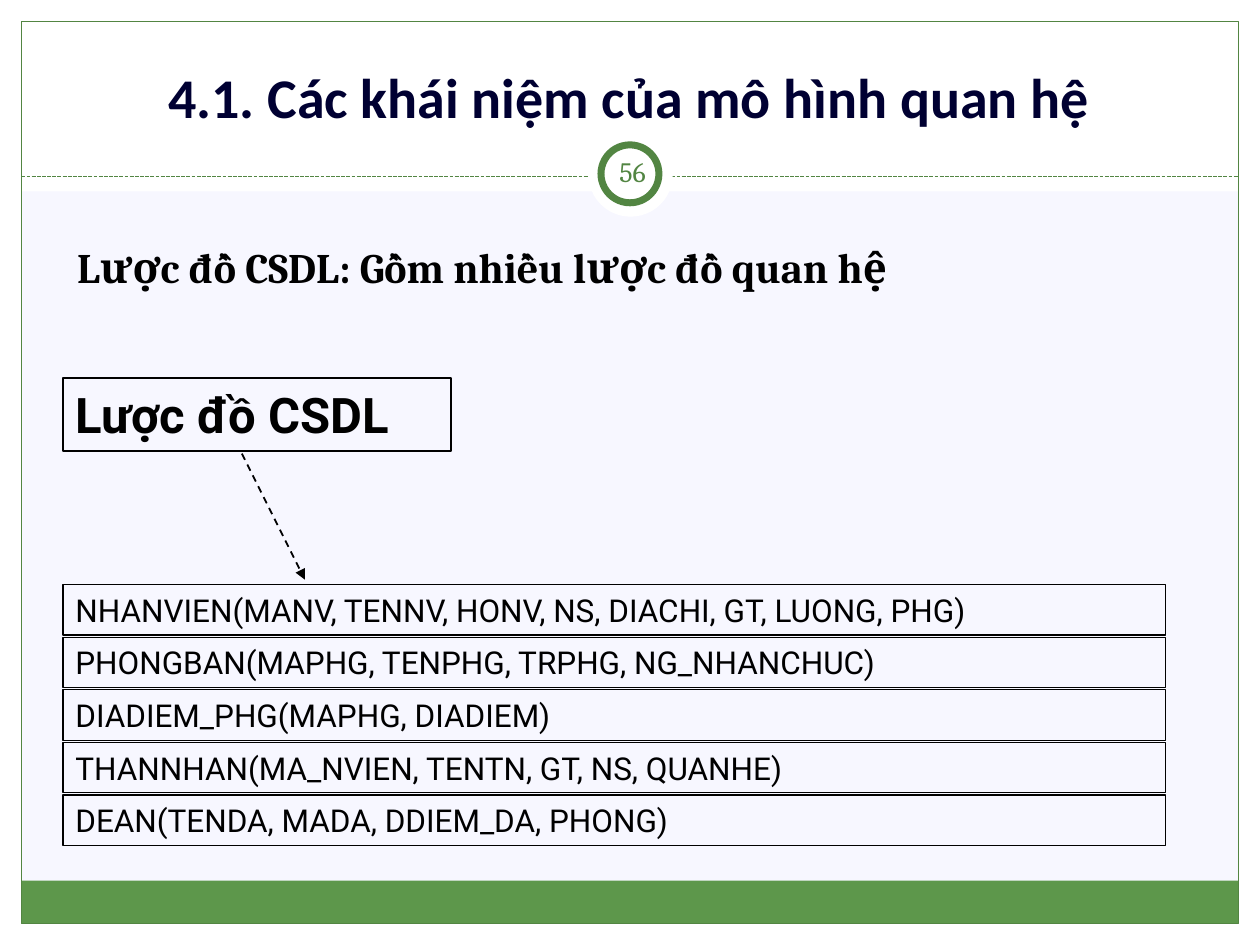
from lxml import etree
from pptx import Presentation
from pptx.dml.color import RGBColor
from pptx.enum.dml import MSO_LINE
from pptx.enum.shapes import MSO_CONNECTOR, MSO_SHAPE
from pptx.enum.text import MSO_ANCHOR, PP_ALIGN
from pptx.oxml.ns import qn
from pptx.util import Inches, Pt

RECT, OVAL = MSO_SHAPE.RECTANGLE, MSO_SHAPE.OVAL
ROUNDED = MSO_SHAPE.FLOWCHART_ALTERNATE_PROCESS
STRAIGHT = MSO_CONNECTOR.STRAIGHT
DOTTED, DASHED = MSO_LINE.SQUARE_DOT, MSO_LINE.DASH
TOP, MIDDLE, BOTTOM = MSO_ANCHOR.TOP, MSO_ANCHOR.MIDDLE, MSO_ANCHOR.BOTTOM
LEFT, CENTER = PP_ALIGN.LEFT, PP_ALIGN.CENTER

WHITE, GREEN, BAND, NAVY, BLACK, PALE = (
    "FFFFFF", "528542", "5D974B", "000032", "000000", "F7F7FF")

TITLE = "4.1. Các khái niệm của mô hình quan hệ"
PAGE_NUMBER = "56"
DEFINITION = "Lược đồ CSDL: Gồm nhiều lược đồ quan hệ"
SCHEMA_LABEL = "Lược đồ CSDL"
RELATIONS = [
    "NHANVIEN(MANV, TENNV, HONV, NS, DIACHI, GT, LUONG, PHG)",
    "PHONGBAN(MAPHG, TENPHG, TRPHG, NG_NHANCHUC)",
    "DIADIEM_PHG(MAPHG, DIADIEM)",
    "THANNHAN(MA_NVIEN, TENTN, GT, NS, QUANHE)",
    "DEAN(TENDA, MADA, DDIEM_DA, PHONG)",
]

TITLE_FONT = {"name": "Calibri", "size": Pt(32), "bold": True}
NUMBER_FONT = {"name": "Cambria", "size": Pt(16)}
DEFINITION_FONT = {"name": "Cambria", "size": Pt(24), "bold": True}
LABEL_FONT = {"name": "Roboto", "size": Pt(28), "bold": True}
RELATION_FONT = {"name": "Roboto", "size": Pt(18)}

WIDTH, HEIGHT, MARGIN = 10, 7.5, 0.17
INNER_WIDTH = WIDTH - 2 * MARGIN
RELATION_LEFT, RELATION_TOP, RELATION_PITCH = 0.5, 4.64, 0.4175
RELATION_SIZE = (8.75, 0.4)

BACKDROP = [
    (RECT, (0, HEIGHT - MARGIN, WIDTH, MARGIN), WHITE, None, 0),
    (RECT, (0, 0, WIDTH, 1.52), WHITE, None, 0),
    (RECT, (0, 0, MARGIN, HEIGHT), WHITE, None, 0),
    (RECT, (WIDTH - MARGIN, 0, MARGIN, HEIGHT), WHITE, None, 0),
    (RECT, (MARGIN, 6.99, INNER_WIDTH, 0.34), BAND, None, 0),
    (RECT, (MARGIN, MARGIN, INNER_WIDTH, HEIGHT - 2 * MARGIN), None, GREEN, 0.75),
]
BADGE = [
    (OVAL, (4.67, 1.05, 0.67, 0.67), WHITE, None, 0),
    (OVAL, (4.77, 1.15, 0.46, 0.46), WHITE, GREEN, 4),
]

prs = Presentation()
prs.slide_width, prs.slide_height = Inches(WIDTH), Inches(HEIGHT)
slide = prs.slides.add_slide(prs.slide_layouts[6])


def color(hex_value):
    return RGBColor.from_string(hex_value)


def add_panel(kind, box, fill, outline, weight):
    panel = slide.shapes.add_shape(kind, *map(Inches, box))
    panel.shadow.inherit = False
    if fill:
        panel.fill.solid()
        panel.fill.fore_color.rgb = color(fill)
    else:
        panel.fill.background()
    if outline:
        panel.line.color.rgb = color(outline)
        panel.line.width = Pt(weight)
    else:
        panel.line.fill.background()
    return panel


def write(holder, text, font, ink, align=LEFT, anchor=TOP, inset=None):
    frame = holder.text_frame
    frame.word_wrap = True
    frame.vertical_anchor = anchor
    if inset is not None:
        for side in ("left", "top", "right", "bottom"):
            setattr(frame, f"margin_{side}", Inches(inset))
    paragraph = frame.paragraphs[0]
    paragraph.alignment = align
    run = paragraph.add_run()
    run.text = text
    for key, value in font.items():
        setattr(run.font, key, value)
    run.font.color.rgb = color(ink)


def add_line(start, end, ink, weight, dash):
    line = slide.shapes.add_connector(STRAIGHT, *map(Inches, start + end))
    line.line.color.rgb = color(ink)
    line.line.width = Pt(weight)
    line.line.dash_style = dash
    etree.SubElement(line._element.spPr, qn("a:effectLst"))
    return line


def add_text(box, *text_format):
    write(slide.shapes.add_textbox(*map(Inches, box)), *text_format)


slide.background.fill.solid()
slide.background.fill.fore_color.rgb = color(PALE)

for panel in BACKDROP:
    add_panel(*panel)
add_line((MARGIN, 1.4), (WIDTH - MARGIN, 1.4), GREEN, 0.75, DOTTED)
for ring in BADGE:
    add_panel(*ring)

add_text((0.33, 0.25, 9.33, 0.83), TITLE, TITLE_FONT, NAVY, CENTER, BOTTOM)
add_text((4.77, 1.12, 0.5, 0.48), PAGE_NUMBER, NUMBER_FONT, GREEN, CENTER, MIDDLE, 0.05)

definition = add_panel(ROUNDED, (0.47, 1.67, 8.08, 0.89), None, None, 0)
write(definition, DEFINITION, DEFINITION_FONT, BLACK, LEFT, MIDDLE)

schema = add_panel(RECT, (RELATION_LEFT, 3, 3.08, 0.58), None, BLACK, 1)
write(schema, SCHEMA_LABEL, LABEL_FONT, BLACK)

for index, relation in enumerate(RELATIONS):
    top = RELATION_TOP + index * RELATION_PITCH
    row = add_panel(RECT, (RELATION_LEFT, top, *RELATION_SIZE), None, BLACK, 0.75)
    write(row, relation, RELATION_FONT, BLACK)

arrow = add_line((1.92, 3.6), (2.42, 4.6), BLACK, 1, DASHED)
etree.SubElement(arrow.line._get_or_add_ln(), qn("a:tailEnd"), type="triangle")

prs.save("out.pptx")
